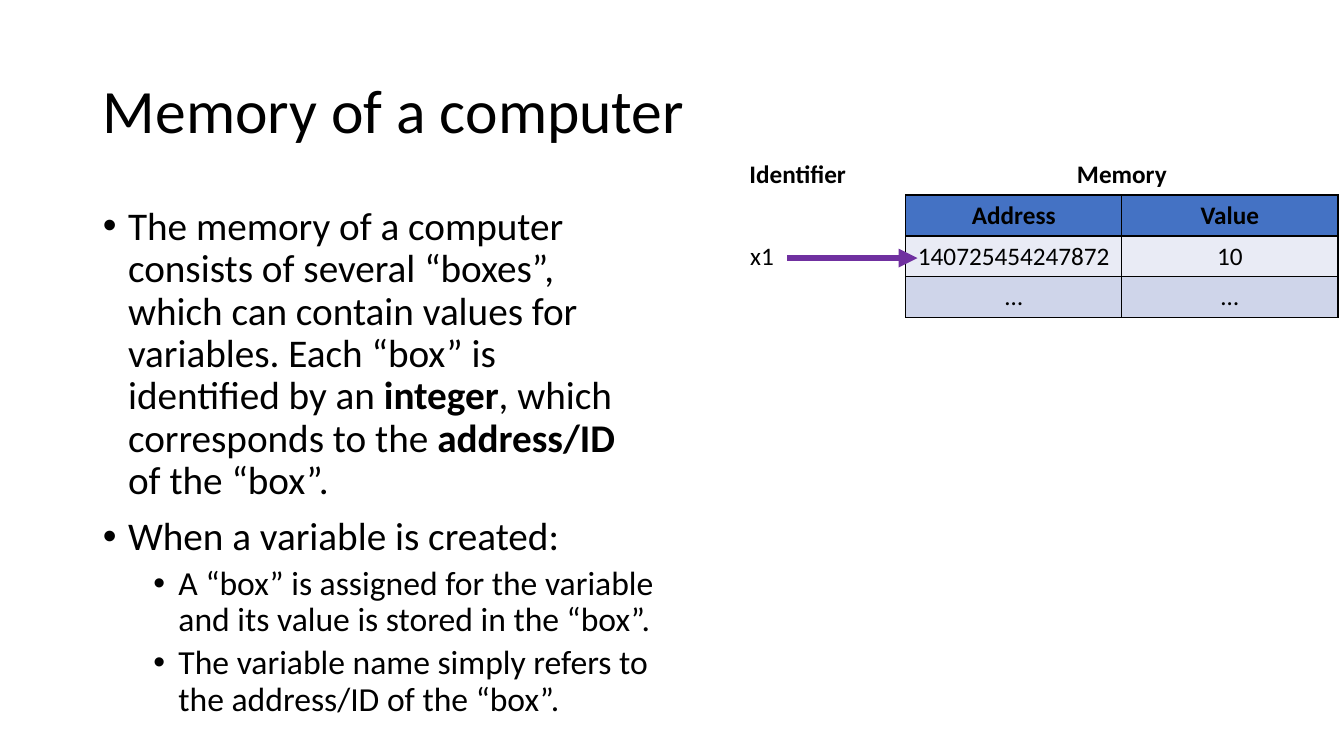
from lxml.etree import SubElement
from pptx import Presentation
from pptx.dml.color import RGBColor
from pptx.enum.shapes import MSO_CONNECTOR
from pptx.enum.text import MSO_ANCHOR, MSO_AUTO_SIZE, PP_ALIGN
from pptx.oxml.ns import qn
from pptx.util import Inches, Pt

BLACK, WHITE, BLUE, PURPLE = "000000", "FFFFFF", "4472C4", "7030A0"
ROW_FILLS = [WHITE, BLUE, "E9EBF5", "CFD5EA"]
MEMORY_ROWS = [
    ["Identifier", "Memory", ""],
    ["", "Address", "Value"],
    ["x1", "140725454247872", "10"],
    ["", "…", "…"],
]
BULLETS = [
    (0, [("The memory of a computer consists of several “boxes”, which can contain "
          "values for variables. Each “box” is identified by an ", False),
         ("integer", True), (", which corresponds to the ", False),
         ("address/ID", True), (" of the “box”.", False)]),
    (0, [("When a variable is created:", False)]),
    (1, [("A “box” is assigned for the variable and its value is stored in the “box”.", False)]),
    (1, [("The variable name simply refers to the address/ID of the “box”.", False)]),
]
LEVELS = [
    {"size": 28, "left": 0.25, "before": 10},
    {"size": 24, "left": 0.75, "before": 5},
]


def color(value):
    return RGBColor.from_string(value)


def set_values(target, values):
    for name, value in values.items():
        setattr(target, name, value)


def format_font(font, size, bold=False):
    set_values(font, {"name": "Calibri", "size": Pt(size), "bold": bold})
    font.color.rgb = color(BLACK)


def place(shape, left, top, width, height):
    set_values(shape, {"left": Inches(left), "top": Inches(top),
                       "width": Inches(width), "height": Inches(height)})


def add_bullet(para, left):
    """Give the paragraph a round bullet that hangs a quarter inch."""
    properties = para._p.get_or_add_pPr()
    properties.set("marL", str(Inches(left)))
    properties.set("indent", str(Inches(-0.25)))
    SubElement(properties, qn("a:buFont"), typeface="Arial")
    SubElement(properties, qn("a:buChar"), char="•")


def fill_title(title, text):
    place(title, 0.92, 0.4, 11.5, 1.45)
    frame = title.text_frame
    set_values(frame, {"text": text, "vertical_anchor": MSO_ANCHOR.MIDDLE,
                       "auto_size": MSO_AUTO_SIZE.NONE})
    para = frame.paragraphs[0]
    set_values(para, {"alignment": PP_ALIGN.LEFT, "line_spacing": 0.9})
    format_font(para.runs[0].font, 44)


def fill_body(body):
    place(body, 0.92, 2, 5.67, 5.5)
    frame = body.text_frame
    frame.auto_size = MSO_AUTO_SIZE.NONE
    for index, (level, spans) in enumerate(BULLETS):
        para = frame.add_paragraph() if index else frame.paragraphs[0]
        style = LEVELS[level]
        add_bullet(para, style["left"])
        set_values(para, {"level": level, "line_spacing": 0.9,
                          "space_before": Pt(style["before"] if index else 0)})
        for text, bold in spans:
            span = para.add_run()
            span.text = text
            format_font(span.font, style["size"], bold)


def set_borders(cell, borders):
    """Draw one-point borders; borders maps the sides L, R, T, B to colours."""
    properties = cell._tc.get_or_add_tcPr()
    for position, side in enumerate(side for side in "LRTB" if side in borders):
        line = SubElement(properties, qn(f"a:ln{side}"), w=str(Pt(1)))
        fill = SubElement(line, qn("a:solidFill"))
        SubElement(fill, qn("a:srgbClr"), val=borders[side])
        properties.insert(position, line)


def cell_borders(row, column):
    if row == 0:
        return {"B": BLACK} if column else {}
    if column:
        return dict.fromkeys("LRTB", BLACK)
    borders = {"L": WHITE, "R": BLACK, "B": WHITE}
    return borders if row == 1 else borders | {"T": WHITE}


def add_memory_table(page):
    frame = page.shapes.add_table(4, 3, Inches(6.84), Inches(1.53), Inches(6.43), Inches(1.62))
    table = frame.table
    set_values(table, {"first_row": False, "horz_banding": False})
    for row, texts in enumerate(MEMORY_ROWS):
        for column, text in enumerate(texts):
            cell = table.cell(row, column)
            cell.fill.solid()
            cell.fill.fore_color.rgb = color(ROW_FILLS[row] if column else WHITE)
            set_borders(cell, cell_borders(row, column))
            para = cell.text_frame.paragraphs[0]
            para.alignment = PP_ALIGN.CENTER
            format_font(para.font, 18, row < 2)
            if text:
                span = para.add_run()
                span.text = text
                format_font(span.font, 18, row < 2)
    table.cell(0, 1).merge(table.cell(0, 2))
    variable = table.cell(2, 0)
    variable.margin_left = Inches(0.6)
    variable.text_frame.paragraphs[0].alignment = PP_ALIGN.LEFT


def add_arrow(page, start, end, y):
    arrow = page.shapes.add_connector(MSO_CONNECTOR.STRAIGHT, Inches(start), Inches(y),
                                      Inches(end), Inches(y))
    arrow.line.color.rgb = color(PURPLE)
    arrow.line.width = Pt(4.5)
    SubElement(arrow.line._get_or_add_ln(), qn("a:tailEnd"), type="triangle")
    SubElement(arrow._element.spPr, qn("a:effectLst"))


def main():
    deck = Presentation()
    set_values(deck, {"slide_width": Inches(13.33), "slide_height": Inches(7.5)})
    page = deck.slides.add_slide(deck.slide_layouts[1])
    fill_title(page.shapes.title, "Memory of a computer")
    fill_body(page.placeholders[1])
    add_memory_table(page)
    add_arrow(page, 7.81, 9.1, 2.56)
    deck.save("out.pptx")


if __name__ == "__main__":
    main()
